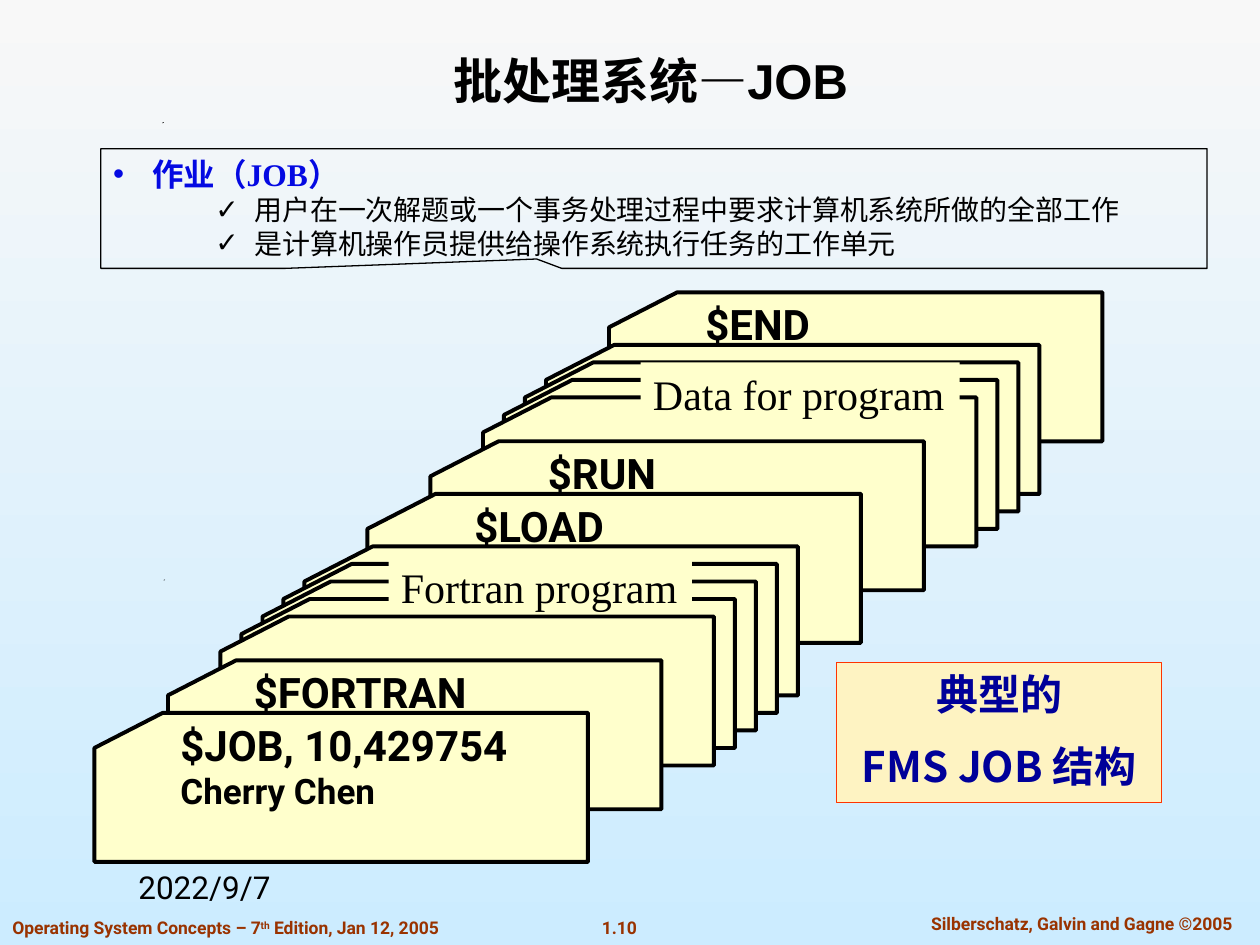
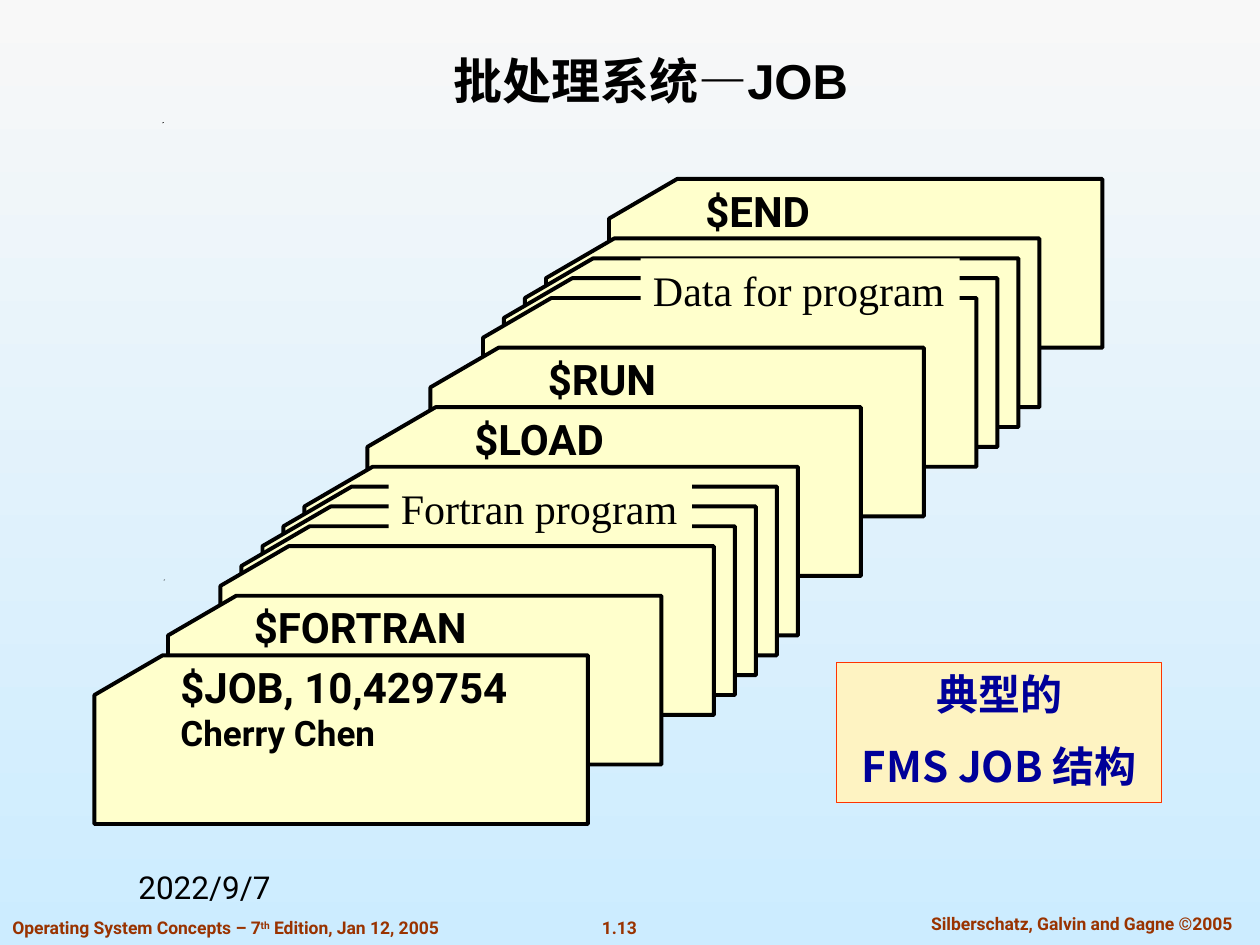
from lxml import etree
from pptx import Presentation
from pptx.dml.color import RGBColor
from pptx.enum.shapes import MSO_SHAPE
from pptx.enum.text import MSO_ANCHOR, MSO_AUTO_SIZE, PP_ALIGN
from pptx.oxml.ns import qn
from pptx.util import Inches, Pt

LEFT, CENTER = PP_ALIGN.LEFT, PP_ALIGN.CENTER
TOP, BOTTOM = MSO_ANCHOR.TOP, MSO_ANCHOR.BOTTOM
FIT_SHAPE, FIXED = MSO_AUTO_SIZE.SHAPE_TO_FIT_TEXT, MSO_AUTO_SIZE.NONE
RECTANGLE, CALLOUT = MSO_SHAPE.RECTANGLE, MSO_SHAPE.RECTANGULAR_CALLOUT

SANS, SERIF, TITLE_FONT, CHINESE = "Roboto", "Times New Roman", "Arial", "Noto Sans CJK SC"
BLACK, CARD, FOOTER, BLUE, NAVY = "000000", "FFFFCC", "993300", "0409E2", "000099"
NOTE_FILL, NOTE_LINE = "FEF3C2", "FF3300"
BACKGROUND = ("F8F8F8", "CCECFF")

TITLE = "批处理系统—JOB"
DATE = "2022/9/7"
NOTE = ["典型的", "FMS JOB 结构"]
EDITION = [("Operating System Concepts – 7", {}), ("th", {"superscript": True}),
           (" Edition, Jan 12, 2005", {})]
COPYRIGHT = "Silberschatz, Galvin and Gagne ©2005"
JOB_HEADING = "作业（JOB）"
JOB_POINTS = ["用户在一次解题或一个事务处理过程中要求计算机系统所做的全部工作",
              "是计算机操作员提供给操作系统执行任务的工作单元"]
JOB_CARD = ["$JOB, 10,429754", [("Cherry Chen", {"size": 20})]]
SPECKS = [(1.3, 4.6), (1.29, 0.97)]

# Page number, top and height of the card deck in inches, whether the definition shows
SLIDES = [("1.10", 2.32, 4.52, True), ("1.13", 1.42, 5.12, False)]

# The deck is a grid: columns of 1/12 inch, 65 rows over its height
COLUMN = 1 / 12
DECK_ROWS = 65
CARD_COLUMNS, CARD_ROWS = 47, 17
NOTCH_COLUMNS, NOTCH_ROWS = 6.5, 4
LABEL_ROWS, JOB_LABEL_ROWS = 7.5, 12.5

COMMAND = {"font": SANS, "bold": True}
PROGRAM = {"font": SERIF}
# From back to front: cards (column, row), then label (column, row, columns, text, format)
LAYERS = [
    ([(58, 0), (52, 6), (50, 8), (48, 10), (46, 12)], (66, 0, 13, ["$END"], COMMAND)),
    ([(41, 17)], (51, 17, 13.3, ["$RUN"], COMMAND)),
    ([], (61, 8, 30.4, ["Data for program"], PROGRAM)),
    ([(35, 23)], (44, 23, 16, ["$LOAD"], COMMAND)),
    ([(29, 29), (27, 31), (25, 33), (23, 35)], (37, 30, 28.9, ["Fortran program"], PROGRAM)),
    ([(21, 37), (16, 42)], (23, 42, 25, ["$FORTRAN"], COMMAND)),
    ([(9, 48)], (16, 48, 34.8, JOB_CARD, COMMAND)),
]


def rgb(value):
    return RGBColor.from_string(value)


def paint(shape, fill=None, line=None, width=0.75):
    shape.shadow.inherit = False
    if fill:
        shape.fill.solid()
        shape.fill.fore_color.rgb = rgb(fill)
    else:
        shape.fill.background()
    if line:
        shape.line.color.rgb = rgb(line)
        shape.line.width = Pt(width)
    else:
        shape.line.fill.background()


def add_run(paragraph, text, font, size, color, bold, superscript=False):
    run = paragraph.add_run()
    run.text = text
    run.font.name = font
    run.font.size = Pt(size)
    run.font.bold = bold
    run.font.color.rgb = rgb(color)
    properties = run.font._element
    etree.SubElement(properties, qn("a:ea")).set("typeface", CHINESE)
    if superscript:
        properties.set("baseline", "30000")


def write(shape, paragraphs, font=SANS, size=24, color=BLACK, bold=False, align=LEFT,
          anchor=TOP, wrap=True, fit=FIXED, gap=0):
    """Fill a shape; a paragraph is a string or a list of (text, changed format)."""
    frame = shape.text_frame
    frame.word_wrap = wrap
    frame.auto_size = fit
    frame.vertical_anchor = anchor
    base = {"font": font, "size": size, "color": color, "bold": bold}
    for index, runs in enumerate(paragraphs):
        paragraph = frame.add_paragraph() if index else frame.paragraphs[0]
        paragraph.alignment = align
        if index and gap:
            paragraph.space_before = Pt(gap)
        for text, changes in [(runs, {})] if isinstance(runs, str) else runs:
            add_run(paragraph, text, **{**base, **changes})


def add_text(shapes, box, paragraphs, **text_format):
    textbox = shapes.add_textbox(*map(Inches, box))
    write(textbox, paragraphs, **text_format)


def add_rectangle(shapes, box, paragraphs, fill, line=None, **text_format):
    rectangle = shapes.add_shape(RECTANGLE, *map(Inches, box))
    paint(rectangle, fill, line)
    write(rectangle, paragraphs, **text_format)


def add_outline(shapes, points, fill, line=None, width=0.75):
    corners = [(Inches(x), Inches(y)) for x, y in points]
    builder = shapes.build_freeform(*corners[0], scale=1.0)
    builder.add_line_segments(corners[1:], close=True)
    paint(builder.convert_to_shape(), fill, line, width)


def add_deck(slide, top, height):
    """Stack the punched cards and their labels on the deck grid."""
    row_height = height / DECK_ROWS
    shapes = slide.shapes.add_group_shape().shapes

    def place(column, row):
        return column * COLUMN, top + row * row_height

    for cards, (column, row, columns, text, text_format) in LAYERS:
        for left, card_top in cards:
            right, bottom = left + CARD_COLUMNS, card_top + CARD_ROWS
            corners = [(left, bottom), (right, bottom), (right, card_top),
                       (left + NOTCH_COLUMNS, card_top), (left, card_top + NOTCH_ROWS)]
            add_outline(shapes, [place(*corner) for corner in corners], CARD, BLACK, 2.25)
        rows = JOB_LABEL_ROWS if text is JOB_CARD else LABEL_ROWS
        box = (*place(column, row), columns * COLUMN, rows * row_height)
        options = {"wrap": False, "fit": FIT_SHAPE, **text_format}
        if text_format is PROGRAM:
            add_rectangle(shapes, box, text, CARD, **options)
        else:
            add_text(shapes, box, text, **options)


def set_bullet(paragraph, character, margin):
    properties = paragraph._p.get_or_add_pPr()
    properties.set("marL", str(Inches(margin)))
    properties.set("indent", str(Inches(-0.31)))
    etree.SubElement(properties, qn("a:buFont")).set("typeface", TITLE_FONT)
    etree.SubElement(properties, qn("a:buChar")).set("char", character)


def add_definition(slide):
    callout = slide.shapes.add_shape(CALLOUT, *map(Inches, (0.8, 1.18, 8.78, 0.95)))
    callout.adjustments[0], callout.adjustments[1] = -0.106, 0.422
    paint(callout, line=BLACK)
    heading = [(JOB_HEADING, {"size": 18, "color": BLUE, "bold": True})]
    write(callout, [heading, *JOB_POINTS], font=SERIF, size=16)
    first, *points = callout.text_frame.paragraphs
    set_bullet(first, "•", 0.31)
    for point in points:
        point.level = 1
        set_bullet(point, "✓", 1.12)


def add_frame(slide, page):
    """Add the footers and specks that every slide carries."""
    small = {"size": 10, "color": FOOTER, "bold": True, "fit": FIT_SHAPE}
    add_text(slide.shapes, (4.67, 7.23, 0.49, 0.27), [page], align=CENTER, wrap=False, **small)
    add_text(slide.shapes, (7.1, 7.2, 2.97, 0.27), [COPYRIGHT], align=CENTER, **small)
    add_text(slide.shapes, (0, 7.23, 3.77, 0.27), [EDITION], wrap=False, **small)
    for x, y in SPECKS:
        add_outline(slide.shapes, [(x, y), (x + 0.01, y), (x, y + 0.01)], BLACK)


def add_title(slide):
    title = slide.shapes.title
    title.left, title.top, title.width, title.height = map(Inches, (0.75, 0.25, 8.83, 0.67))
    write(title, [TITLE], font=TITLE_FONT, size=28, bold=True, align=CENTER, anchor=BOTTOM)


def set_background(master):
    fill = master.background.fill
    fill.gradient()
    fill.gradient_angle = 270
    for stop, color in zip(fill.gradient_stops, BACKGROUND):
        stop.color.rgb = rgb(color)


def main():
    presentation = Presentation()
    presentation.slide_width, presentation.slide_height = Inches(10), Inches(7.5)
    set_background(presentation.slide_master)
    for page, deck_top, deck_height, has_definition in SLIDES:
        slide = presentation.slides.add_slide(presentation.slide_layouts[5])
        add_frame(slide, page)
        add_deck(slide, deck_top, deck_height)
        add_rectangle(slide.shapes, (6.64, 5.26, 2.58, 1.11), NOTE, NOTE_FILL, NOTE_LINE,
                      font=CHINESE, color=NAVY, bold=True, align=CENTER, gap=12, fit=FIT_SHAPE)
        add_title(slide)
        add_text(slide.shapes, (1, 6.84, 2.17, 0.5), [DATE], size=18)
        if has_definition:
            add_definition(slide)
    presentation.save("out.pptx")


if __name__ == "__main__":
    main()
